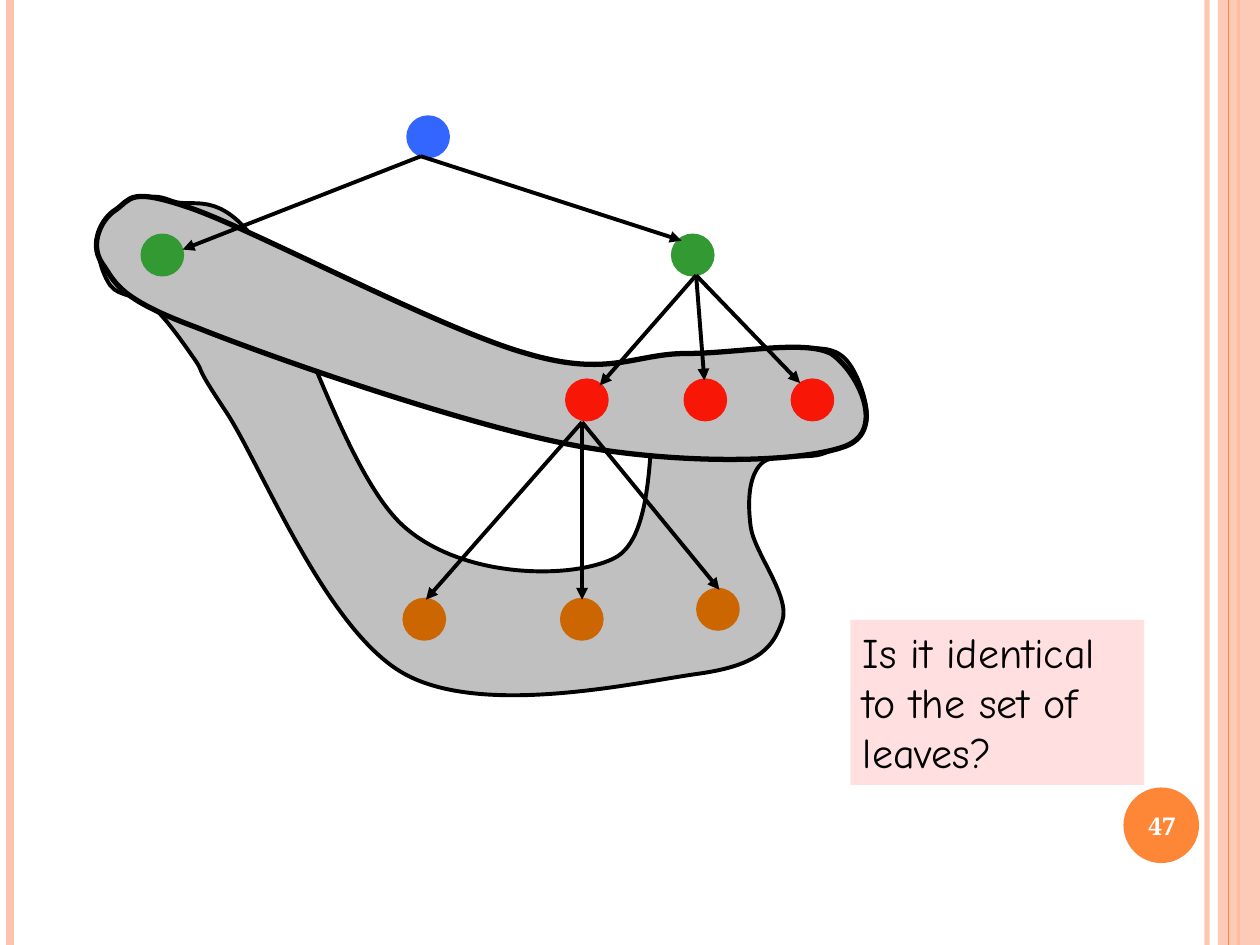
import pptx
import pptx.util
import pptx.dml.color
import pptx.enum.shapes
import pptx.enum.text
import pptx.oxml
import pptx.oxml.ns
from lxml import etree

Pt = pptx.util.Pt
qn = pptx.oxml.ns.qn
SHAPE = pptx.enum.shapes.MSO_SHAPE
ALIGN = pptx.enum.text.PP_ALIGN
ANCHOR = pptx.enum.text.MSO_ANCHOR

PEACH, ORANGE, BLACK, GRAY = "FEC3AE", "FE8637", "000000", "C0C0C0"
WIDTH, HEIGHT = 720, 540
NODE_W, NODE_H = 22.7, 22.3

# x, colour, line width, opacity in percent
RULES = [(689.8, PEACH, 3, 93), (5.8, PEACH, 4.5, 100), (707.8, ORANGE, 1.5, 100)]
BAND_RULE = (702, ORANGE, 0.75, 100)

# Outlines: start point, then cubic curves (control, control, end)
LOWER_BAND = ((81, 115), [
    (88, 112, 88, 111, 99, 115), (110, 119, 125, 108, 147, 139),
    (169, 170, 197, 271, 231, 301), (265, 331, 327, 331, 351, 319),
    (375, 307, 370, 247, 375, 229), (380, 211, 378, 215, 381, 211),
    (384, 207, 381, 207, 393, 205), (405, 203, 438, 199, 453, 199),
    (468, 199, 476, 198, 483, 205), (490, 212, 497, 232, 495, 241),
    (493, 250, 481, 255, 471, 259), (461, 263, 442, 258, 435, 265),
    (428, 272, 427, 286, 429, 301), (431, 316, 452, 341, 447, 355),
    (442, 369, 435, 380, 399, 385), (363, 390, 276, 410, 231, 385),
    (186, 360, 149, 265, 129, 235), (109, 205, 118, 215, 111, 205),
    (104, 195, 95, 182, 87, 175), (79, 168, 68, 170, 63, 163),
    (58, 156, 54, 142, 57, 133), (60, 124, 74, 118, 81, 115)])
UPPER_BAND = ((331, 255), [
    (393, 266, 459, 264, 483, 255), (507, 246, 490, 212, 475, 202),
    (460, 194, 421, 202, 392, 202), (363, 202, 348, 216, 301, 202),
    (254, 189, 150, 134, 112, 120), (73, 106, 75, 114, 66, 120),
    (58, 125, 51, 139, 58, 150), (66, 161, 66, 170, 112, 187),
    (157, 205, 269, 244, 331, 255)])

# Tree levels: colour and the top left corner of each node
LEVELS = [
    ("3366FF", [(233.3, 67)]),
    ("339933", [(81.4, 134.6), (384.5, 134.6)]),
    ("F81706", [(324, 217.4), (391.7, 217.4), (452.9, 217.4)]),
    ("CC6600", [(231.1, 342.7), (321.1, 342.7), (398.9, 337)]),
]
# Start point and the tips of the arrows that leave it
BRANCHES = [
    ((240.5, 89.3), [(104.4, 142.6), (389.5, 137.5)]),
    ((397.8, 157.3), [(342.7, 220.3), (402.5, 217.4), (457.2, 218.9)]),
    ((332.6, 241.2), [(243.4, 342.7), (332.6, 342.7), (411.1, 337)]),
]
QUESTION = "Is it identical to the set of leaves?"
PAGE = "47"


def rgb(color):
    """Turn a hex string into a colour."""
    return pptx.dml.color.RGBColor.from_string(color)


def set_opacity(parent, percent):
    """Set the opacity of the first solid colour below an element."""
    if percent < 100:
        clr = parent.find(".//" + qn("a:srgbClr"))
        etree.SubElement(clr, qn("a:alpha"), val=str(percent * 1000))


def style(sp, fill, line=None, width=2.25, opacity=100):
    """Give a shape its fill and outline."""
    sp.shadow.inherit = False
    sp.fill.solid()
    sp.fill.fore_color.rgb = rgb(fill)
    set_opacity(sp._element.spPr, opacity)
    if line:
        sp.line.color.rgb = rgb(line)
        sp.line.width = Pt(width)
    else:
        sp.line.fill.background()


def add_shape(kind, x, y, w, h, fill, **fmt):
    """Add a preset shape."""
    sp = s.shapes.add_shape(kind, Pt(x), Pt(y), Pt(w), Pt(h))
    style(sp, fill, **fmt)
    return sp


def add_line(start, end, color=BLACK, width=2.25, opacity=100, arrow=False):
    """Add a straight line, with an arrowhead at its end if wanted."""
    cx = s.shapes.add_connector(pptx.enum.shapes.MSO_CONNECTOR.STRAIGHT,
                                *(Pt(v) for v in (*start, *end)))
    cx.line.color.rgb = rgb(color)
    cx.line.width = Pt(width)
    ln = cx.line._get_or_add_ln()
    set_opacity(ln, opacity)
    if arrow:
        etree.SubElement(ln, qn("a:tailEnd"), type="triangle")
    etree.SubElement(cx._element.spPr, qn("a:effectLst"))


def add_curve(start, curves, width):
    """Add a closed outline whose segments are cubic curves."""
    fb = s.shapes.build_freeform(Pt(start[0]), Pt(start[1]))
    fb.add_line_segments([(Pt(c[4]), Pt(c[5])) for c in curves], close=True)
    sp = fb.convert_to_shape()
    for seg, c in zip(list(sp._element.iter(qn("a:lnTo"))), curves):
        seg.tag = qn("a:cubicBezTo")
        seg.clear()
        for x, y in zip(c[::2], c[1::2]):
            etree.SubElement(seg, qn("a:pt"), x=str(Pt(x) - sp.left),
                             y=str(Pt(y) - sp.top))
    style(sp, GRAY, BLACK, width)


def add_text(text, x, y, w, h, size, font, color, bold=False, fill=None,
             align=ALIGN.LEFT, anchor=ANCHOR.TOP):
    """Add a wrapped text box."""
    sp = s.shapes.add_textbox(Pt(x), Pt(y), Pt(w), Pt(h))
    if fill:
        style(sp, fill)
    tf = sp.text_frame
    tf.word_wrap = True
    tf.vertical_anchor = anchor
    p = tf.paragraphs[0]
    p.alignment = align
    r = p.add_run()
    r.text = text
    r.font.size, r.font.name, r.font.bold = Pt(size), font, bold
    r.font.color.rgb = rgb(color)


prs = pptx.Presentation()
prs.slide_width, prs.slide_height = Pt(WIDTH), Pt(HEIGHT)
s = prs.slides.add_slide(prs.slide_layouts[6])

for x, *fmt in RULES:
    add_line((x, 0), (x, HEIGHT), *fmt)
add_shape(SHAPE.RECTANGLE, 696, 0, 24, HEIGHT, PEACH, opacity=87)
x, *fmt = BAND_RULE
add_line((x, 0), (x, HEIGHT), *fmt)
add_shape(SHAPE.OVAL, 642, 450, 43.2, 43.2, ORANGE)
add_text(PAGE, 640, 451.4, 48.2, 41, 14, "Noto Serif", "FFFFFF", bold=True,
         align=ALIGN.CENTER, anchor=ANCHOR.MIDDLE)

add_curve(*LOWER_BAND, width=2.25)
add_curve(*UPPER_BAND, width=3)
for color, nodes in LEVELS:
    for x, y in nodes:
        add_shape(SHAPE.OVAL, x, y, NODE_W, NODE_H, color, line=color)
for start, tips in BRANCHES:
    for tip in tips:
        add_line(start, tip, arrow=True)

add_text(QUESTION, 486, 354.2, 167.8, 94.3, 24, "Comic Neue", BLACK, fill="FFDFDF")

prs.save("out.pptx")
